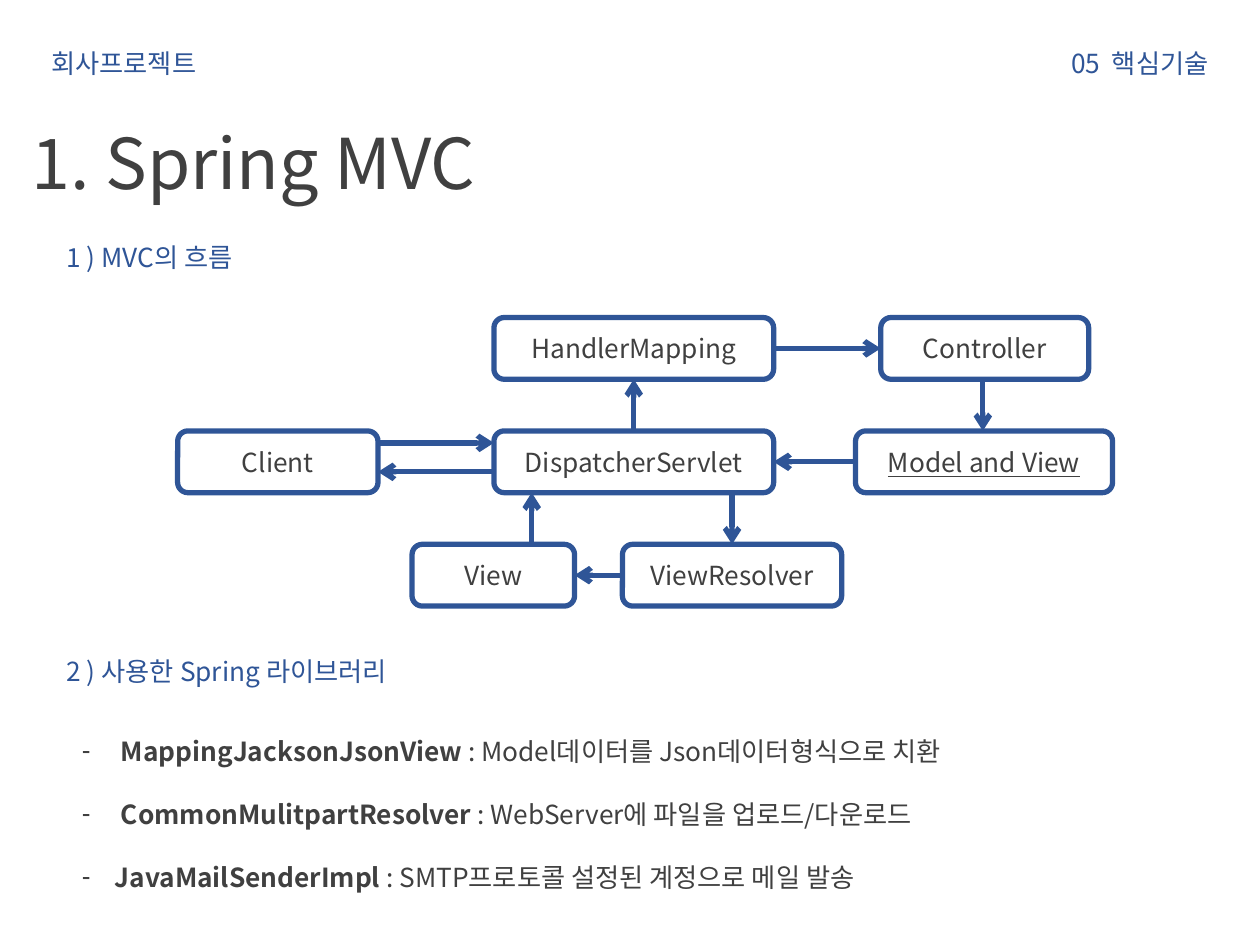
"""Builds the Spring MVC slide with its request flow and library list."""
from dataclasses import dataclass

from lxml import etree
from pptx import Presentation
from pptx.dml.color import RGBColor
from pptx.enum import shapes, text
from pptx.oxml.ns import qn
from pptx.util import Inches, Pt


@dataclass(frozen=True)
class Theme:
    """Colours, font and type sizes of the slide."""
    font: str = "Noto Sans CJK KR"
    blue: RGBColor = RGBColor(0x2F, 0x55, 0x97)
    gray: RGBColor = RGBColor(0x40, 0x40, 0x40)
    title: int = 40
    title_line: int = 51
    body: int = 15
    body_line: int = 19
    item_gap: int = 17
    stroke: int = 3


T = Theme()
LEFT, RIGHT = text.PP_ALIGN.LEFT, text.PP_ALIGN.RIGHT
TITLE = "1. Spring MVC"
LABELS = [
    ("회사프로젝트", 0.31, 0.31, 2.94, LEFT),
    ("05  핵심기술", 6.75, 0.31, 2.94, RIGHT),
    ("1 ) MVC의 흐름", 0.43, 1.85, 3.63, LEFT),
    ("2 ) 사용한 Spring 라이브러리", 0.43, 5.14, 3.63, LEFT),
]
LIBRARIES = [
    ("MappingJacksonJsonView", " : Model데이터를 Json데이터형식으로 치환", 0.31),
    ("CommonMulitpartResolver", " : WebServer에 파일을 업로드/다운로드", 0.31),
    ("JavaMailSenderImpl ", ": SMTP프로토콜 설정된 계정으로 메일 발송", 0.26),
]
ROW_TOP, ROW_STEP, BOX_H = 2.52, 0.9, 0.49
BOXES = {
    "HandlerMapping": (3.92, 0, 2.22),
    "Controller": (6.99, 0, 1.65),
    "Client": (1.41, 1, 1.59),
    "DispatcherServlet": (3.92, 1, 2.22),
    "Model and View": (6.79, 1, 2.04),
    "View": (3.27, 2, 1.29),
    "ViewResolver": (4.94, 2, 1.74),
}
UNDERLINED = {"Model and View"}
ACROSS = [
    ("Client", "DispatcherServlet", -0.15),
    ("DispatcherServlet", "Client", 0.08),
    ("HandlerMapping", "Controller", 0),
    ("Model and View", "DispatcherServlet", 0),
    ("ViewResolver", "View", 0),
]
UP_DOWN = [
    ("DispatcherServlet", "HandlerMapping", 5.03),
    ("Controller", "Model and View", 7.8),
    ("DispatcherServlet", "ViewResolver", 5.81),
    ("View", "DispatcherServlet", 4.22),
]


def add_run(p, words, size, color, bold=False, underline=False):
    """Adds one formatted run."""
    r = p.add_run()
    r.text = words
    f = r.font
    f.size, f.bold, f.underline = Pt(size), bold, underline
    f.color.rgb = color
    f.name = T.font
    etree.SubElement(r._r.get_or_add_rPr(), qn("a:ea"), typeface=T.font)


def place(sp, x, y, w, h):
    """Moves and sizes a shape."""
    sp.left, sp.top, sp.width, sp.height = map(Inches, (x, y, w, h))


def prepare(sp, inset):
    """Sets wrapping, top anchor and vertical insets of a text frame."""
    tf = sp.text_frame
    tf.word_wrap = True
    tf.auto_size = text.MSO_AUTO_SIZE.NONE
    tf.vertical_anchor = text.MSO_ANCHOR.TOP
    tf.margin_left = tf.margin_right = Inches(0.1)
    tf.margin_top = tf.margin_bottom = Inches(inset)
    return tf


def format_line(p, height, align=LEFT, before=0):
    """Sets alignment and spacing of a paragraph."""
    p.alignment = align
    p.line_spacing, p.space_before, p.space_after = Pt(height), Pt(before), Pt(0)


def add_label(s, words, x, y, w, align):
    """Adds a blue one-line label."""
    tf = prepare(s.shapes.add_textbox(*map(Inches, (x, y, w, 0.35))), 0.05)
    p = tf.paragraphs[0]
    format_line(p, T.body_line, align)
    add_run(p, words, T.body, T.blue)


def add_libraries(sp):
    """Fills the body placeholder with the library list."""
    place(sp, 0.55, 5.77, 9.14, 1.36)
    tf = prepare(sp, 0.05)
    for i, (name, use, indent) in enumerate(LIBRARIES):
        p = tf.add_paragraph() if i else tf.paragraphs[0]
        format_line(p, T.body_line, before=T.item_gap if i else 0)
        pPr = p._p.get_or_add_pPr()
        pPr.set("marL", str(Inches(indent)))
        pPr.set("indent", str(-Inches(indent)))
        etree.SubElement(pPr, qn("a:buChar"), char="-")
        add_run(p, name, T.body, T.gray, bold=True)
        add_run(p, use, T.body, T.gray)


def row_top(name):
    """Returns the top of the row that holds a box."""
    return ROW_TOP + ROW_STEP * BOXES[name][1]


def add_box(s, name):
    """Adds one outlined step of the flow."""
    x, _, w = BOXES[name]
    sp = s.shapes.add_shape(shapes.MSO_SHAPE.ROUNDED_RECTANGLE,
                            *map(Inches, (x, row_top(name), w, BOX_H)))
    sp.shadow.inherit = False
    sp.fill.background()
    sp.line.color.rgb, sp.line.width = T.blue, Pt(T.stroke)
    tf = sp.text_frame
    tf.word_wrap = True
    tf.vertical_anchor = text.MSO_ANCHOR.MIDDLE
    p = tf.paragraphs[0]
    p.alignment = text.PP_ALIGN.CENTER
    add_run(p, name, T.body, T.gray, underline=name in UNDERLINED)


def add_arrow(s, *ends):
    """Adds an arrow from x1, y1 to x2, y2."""
    c = s.shapes.add_connector(shapes.MSO_CONNECTOR.STRAIGHT, *map(Inches, ends))
    c.line.color.rgb, c.line.width = T.blue, Pt(T.stroke)
    etree.SubElement(c.line._get_or_add_ln(), qn("a:tailEnd"), type="arrow")
    etree.SubElement(c._element.spPr, qn("a:effectLst"))


def facing(start, size, other_start, other_size):
    """Returns the two facing edges of a pair of boxes along one axis."""
    if start < other_start:
        return start + size, other_start
    return start, other_start + other_size


def add_flow(s):
    """Draws the boxes and the arrows between them."""
    for name in BOXES:
        add_box(s, name)
    for a, b, shift in ACROSS:
        x1, x2 = facing(*BOXES[a][::2], *BOXES[b][::2])
        y = row_top(a) + BOX_H / 2 + shift
        add_arrow(s, x1, y, x2, y)
    for a, b, x in UP_DOWN:
        y1, y2 = facing(row_top(a), BOX_H, row_top(b), BOX_H)
        add_arrow(s, x, y1, x, y2)


def main():
    """Builds and saves the slide."""
    prs = Presentation()
    prs.slide_width, prs.slide_height = Inches(10), Inches(7.5)
    s = prs.slides.add_slide(prs.slide_layouts[1])
    title, body = s.placeholders
    place(title, 0.15, 0.81, 4.79, 0.87)
    p = prepare(title, 0.1).paragraphs[0]
    format_line(p, T.title_line)
    add_run(p, TITLE, T.title, T.gray)
    for label in LABELS:
        add_label(s, *label)
    add_flow(s)
    add_libraries(body)
    prs.save("out.pptx")


if __name__ == "__main__":
    main()
